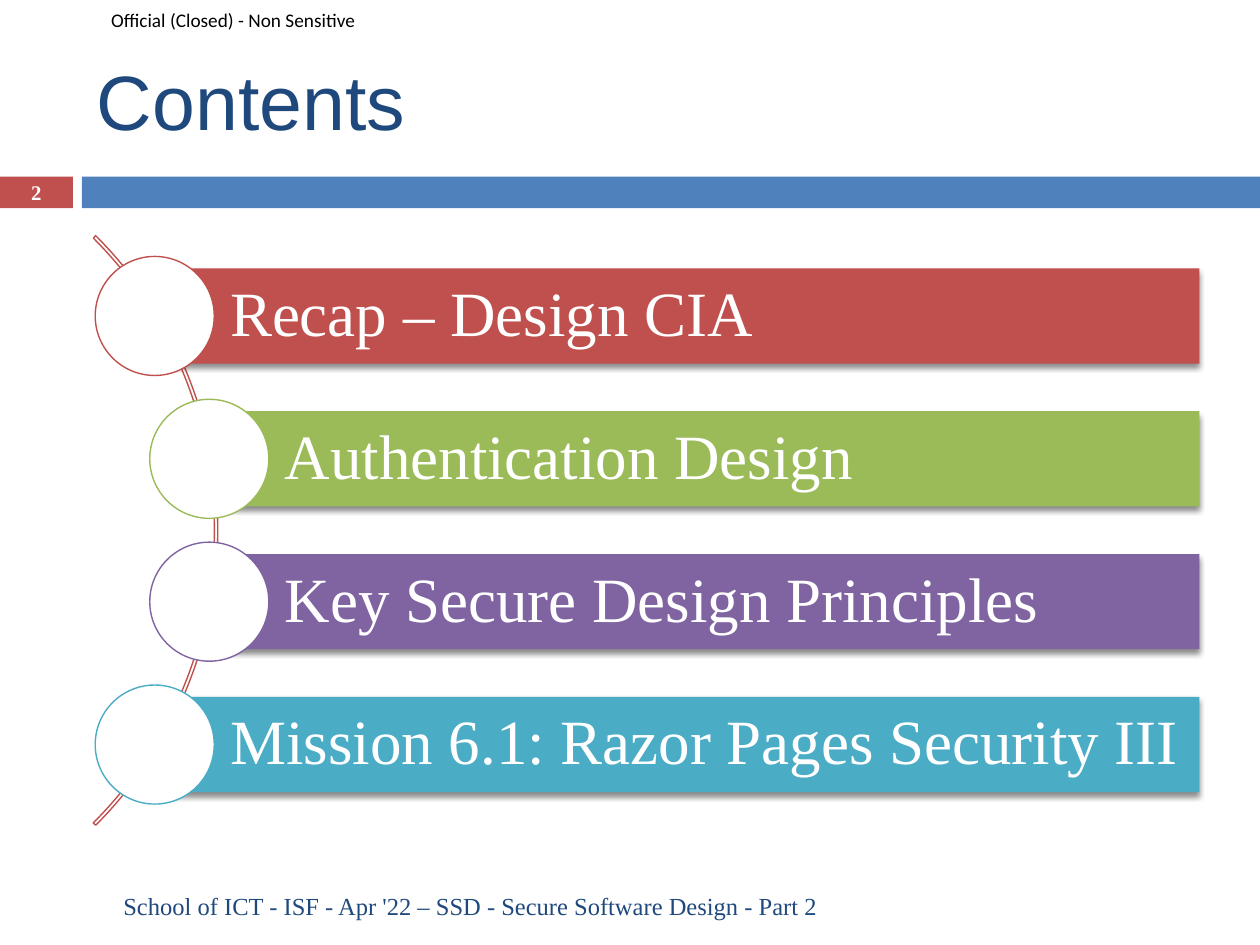
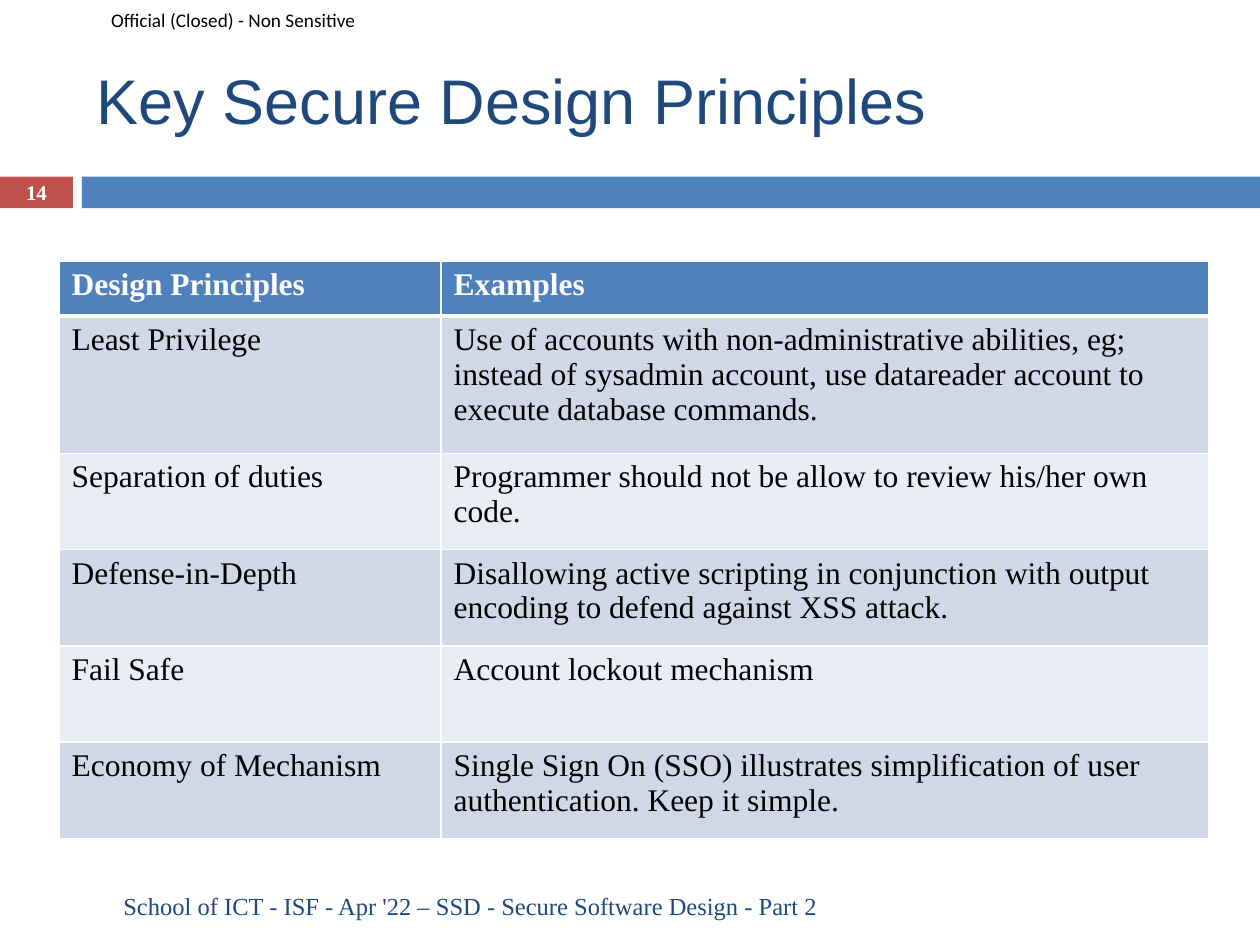
from lxml.etree import SubElement
from pptx import Presentation
from pptx.dml.color import RGBColor
from pptx.enum.shapes import MSO_SHAPE
from pptx.enum.text import MSO_ANCHOR, MSO_AUTO_SIZE, PP_ALIGN
from pptx.oxml.ns import qn
from pptx.util import Cm, Pt

WHITE = RGBColor(0xFF, 0xFF, 0xFF)
BLACK = RGBColor(0x00, 0x00, 0x00)
NAVY = RGBColor(0x1F, 0x49, 0x7D)
BLUE = RGBColor(0x4F, 0x81, 0xBD)
RED = RGBColor(0xC0, 0x50, 0x4D)
GREEN = RGBColor(0x9B, 0xBB, 0x59)
PURPLE = RGBColor(0x80, 0x64, 0xA2)
TEAL = RGBColor(0x4B, 0xAC, 0xC6)
ROW_DARK = RGBColor(0xD0, 0xD8, 0xE8)
ROW_LIGHT = RGBColor(0xE9, 0xED, 0xF4)

SERIF = "Times New Roman"
TITLE_FONT = "Arial"
LABEL_FONT = "Calibri"

PAGE_WIDTH, PAGE_HEIGHT = 25.4, 19.05
BAND_TOP, BAND_HEIGHT = 3.56, 0.64
NUMBER_WIDTH, BAND_LEFT = 1.47, 1.65
LABEL = "Official (Closed) - Non Sensitive"
FOOTER = "School of ICT - ISF - Apr '22 – SSD - Secure Software Design - Part 2"

TOPICS = [
    ("Recap – Design CIA", RED, 3.12),
    ("Authentication Design", GREEN, 4.22),
    ("Key Secure Design Principles", PURPLE, 4.22),
    ("Mission 6.1: Razor Pages Security III", TEAL, 3.12),
]
BAR_TOP, BAR_STEP, BAR_HEIGHT, BAR_RIGHT = 5.41, 2.88, 1.92, 24.18
CIRCLE_SIZE = 2.4

PRINCIPLES = [
    ("Design Principles", "Examples"),
    ("Least Privilege",
     "Use of accounts with non-administrative abilities, eg; instead of sysadmin "
     "account, use datareader account to execute database commands."),
    ("Separation of duties",
     "Programmer should not be allow to review his/her own code."),
    ("Defense-in-Depth",
     "Disallowing active scripting in conjunction with output encoding to defend "
     "against XSS attack."),
    ("Fail Safe", "Account lockout mechanism"),
    ("Economy of Mechanism",
     "Single Sign On (SSO) illustrates simplification of user authentication. "
     "Keep it simple."),
]
COLUMN_WIDTHS = [7.7, 15.47]
ROW_HEIGHTS = [1.11, 2.77, 1.94, 1.94, 1.94, 1.94]


class Lesson:
    def __init__(self):
        self.deck = Presentation()
        self.deck.slide_width = Cm(PAGE_WIDTH)
        self.deck.slide_height = Cm(PAGE_HEIGHT)
        self.page = None

    def add_page(self, title, title_size, number):
        self.page = self.deck.slides.add_slide(self.deck.slide_layouts[5])
        self.shape(MSO_SHAPE.RECTANGLE, 0, BAND_TOP, NUMBER_WIDTH, BAND_HEIGHT, RED)
        self.shape(MSO_SHAPE.RECTANGLE, BAND_LEFT, BAND_TOP,
                   PAGE_WIDTH - BAND_LEFT, BAND_HEIGHT, BLUE)
        label = self.text(LABEL, 0, 0, 7.65, 0.79, 11, BLACK, font=LABEL_FONT)
        self.insets(label, 2.24, 0)
        self.title(title, title_size)
        self.text(str(number), 0, 3.53, NUMBER_WIDTH, 0.69, 11.9, WHITE,
                  PP_ALIGN.CENTER, bold=True)
        self.text(FOOTER, 0.36, 17.75, 16.38, 1.02, 14, NAVY, PP_ALIGN.RIGHT)

    def title(self, words, size):
        box = self.page.shapes.title
        box.left, box.top, box.width, box.height = Cm(1.7), Cm(0.64), Cm(22.66), Cm(2.74)
        self.set_words(box.text_frame, words, size, NAVY, font=TITLE_FONT)

    def set_words(self, frame, words, size, color, align=PP_ALIGN.LEFT, bold=False,
                  font=SERIF):
        frame.text = words
        frame.word_wrap = True
        frame.auto_size = MSO_AUTO_SIZE.NONE
        frame.vertical_anchor = MSO_ANCHOR.MIDDLE
        paragraph = frame.paragraphs[0]
        paragraph.alignment = align
        self.style(paragraph, size, color, bold, font)

    def style(self, paragraph, size, color, bold=False, font=SERIF):
        span = paragraph.runs[0].font
        span.name, span.size, span.bold = font, Pt(size), bold
        span.color.rgb = color

    def text(self, words, left, top, width, height, size, color, *style, **options):
        box = self.page.shapes.add_textbox(Cm(left), Cm(top), Cm(width), Cm(height))
        self.set_words(box.text_frame, words, size, color, *style, **options)
        return box

    def insets(self, box, left, others):
        frame = box.text_frame
        frame.margin_left = Cm(left)
        frame.margin_top = frame.margin_right = frame.margin_bottom = Cm(others)

    def shape(self, kind, left, top, width, height, fill=None, line=None):
        shape = self.page.shapes.add_shape(kind, Cm(left), Cm(top), Cm(width), Cm(height))
        shape.shadow.inherit = False
        if fill is None:
            shape.fill.background()
        else:
            shape.fill.solid()
            shape.fill.fore_color.rgb = fill
        if line is None:
            shape.line.fill.background()
        else:
            shape.line.color.rgb = line
            shape.line.width = Pt(0.79)
        return shape

    def drop_shadow(self, shape):
        effects = shape._element.spPr.find(qn("a:effectLst"))
        shadow = SubElement(effects, qn("a:outerShdw"), blurRad=str(Pt(3)),
                            dist=str(Pt(2.4)), dir="5400000", rotWithShape="0")
        color = SubElement(shadow, qn("a:srgbClr"), val=str(BLACK))
        SubElement(color, qn("a:alpha"), val="45000")

    def arc(self, left, top, size, line):
        arc = self.shape(MSO_SHAPE.BLOCK_ARC, left, top, size, size, line=line)
        for index, value in enumerate((189, 27, 0.004)):
            arc.adjustments[index] = value

    def topic(self, words, color, left, top):
        bar = self.shape(MSO_SHAPE.RECTANGLE, left, top, BAR_RIGHT - left, BAR_HEIGHT, color)
        self.drop_shadow(bar)
        self.set_words(bar.text_frame, words, 36, WHITE)
        self.insets(bar, 1.52, 0.25)
        bar.text_frame.paragraphs[0].line_spacing = 0.9
        self.shape(MSO_SHAPE.OVAL, left - CIRCLE_SIZE / 2,
                   top + (BAR_HEIGHT - CIRCLE_SIZE) / 2,
                   CIRCLE_SIZE, CIRCLE_SIZE, WHITE, color)

    def cell_borders(self, cell, top, bottom):
        properties = cell._tc.get_or_add_tcPr()
        for side, width in (("L", 1), ("R", 1), ("T", top), ("B", bottom)):
            line = SubElement(properties, qn(f"a:ln{side}"), w=str(Pt(width)))
            fill = SubElement(line, qn("a:solidFill"))
            SubElement(fill, qn("a:srgbClr"), val=str(WHITE))

    def table(self, rows, left, top):
        frame = self.page.shapes.add_table(
            len(rows), len(COLUMN_WIDTHS), Cm(left), Cm(top),
            Cm(sum(COLUMN_WIDTHS)), Cm(sum(ROW_HEIGHTS)))
        table = frame.table
        for column, width in zip(table.columns, COLUMN_WIDTHS):
            column.width = Cm(width)
        for index, (row, height, entries) in enumerate(zip(table.rows, ROW_HEIGHTS, rows)):
            row.height = Cm(height)
            header = index == 0
            fill = BLUE if header else (ROW_DARK if index % 2 else ROW_LIGHT)
            for cell, words in zip(row.cells, entries):
                self.cell_borders(cell, 3 if index == 1 else 1, 3 if header else 1)
                cell.fill.solid()
                cell.fill.fore_color.rgb = fill
                cell.text = words
                self.style(cell.text_frame.paragraphs[0], 18,
                           WHITE if header else BLACK, header)


def main():
    lesson = Lesson()

    lesson.add_page("Contents", 44, 2)
    lesson.arc(-12.42, 2.29, 16.81, RED)
    for index, (words, color, left) in enumerate(TOPICS):
        lesson.topic(words, color, left, BAR_TOP + index * BAR_STEP)

    lesson.add_page("Key Secure Design Principles", 36, 14)
    lesson.table(PRINCIPLES, 1.19, 5.26)

    lesson.deck.save("out.pptx")


if __name__ == "__main__":
    main()
